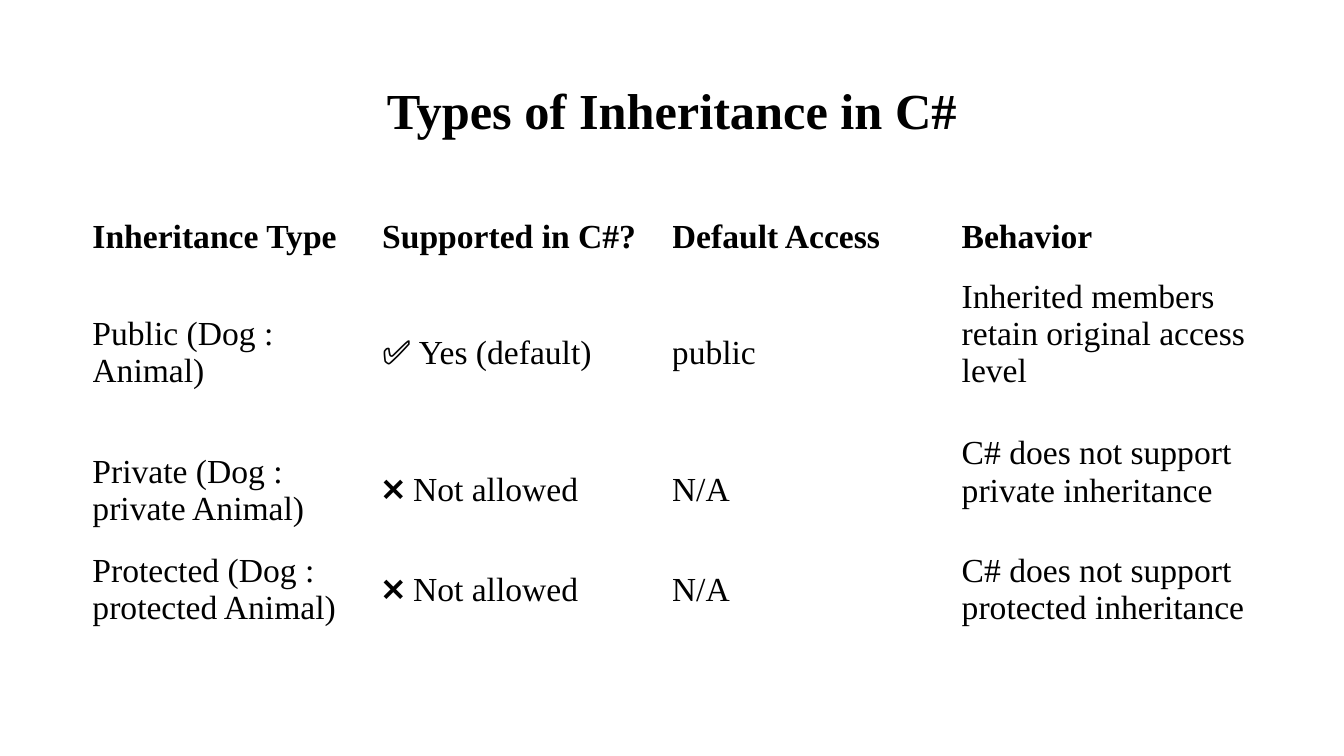
"""Build a slide that tabulates the types of inheritance in C#."""
from dataclasses import dataclass

from pptx import Presentation
from pptx.dml.color import RGBColor
from pptx.enum.text import MSO_ANCHOR, PP_ALIGN
from pptx.util import Cm, Pt


@dataclass(frozen=True)
class Theme:
    font: str = "Times New Roman"
    ink: RGBColor = RGBColor(0x00, 0x00, 0x00)
    paper: RGBColor = RGBColor(0xFF, 0xFF, 0xFF)
    title_size: int = 36
    table_size: int = 24


THEME = Theme()
LEFT = Cm(2.33)
WIDTH = Cm(29.21)
ROW_HEIGHT = Cm(1.83)
LINE_HEIGHT = Cm(0.93)

HEADERS = ["Inheritance Type", "Supported in C#?", "Default Access", "Behavior"]
INHERITANCE_ROWS = [
    ["Public (Dog : Animal)", "✅ Yes (default)", "public",
     "Inherited members retain original access level"],
    ["Private (Dog : private Animal)", "❌ Not allowed", "N/A",
     "C# does not support private inheritance"],
    ["Protected (Dog : protected Animal)", "❌ Not allowed", "N/A",
     "C# does not support protected inheritance"],
]
ROWS_WITH_SPACE_BELOW = (1, 2)


def write_text(frame, text, size=THEME.table_size, bold=False,
               align=PP_ALIGN.LEFT, line_spacing=1.0):
    """Write one formatted paragraph into a text frame."""
    frame.word_wrap = True
    para = frame.paragraphs[0]
    para.alignment = align
    para.line_spacing = line_spacing
    span = para.add_run()
    span.text = text
    span.font.name = THEME.font
    span.font.size = Pt(size)
    span.font.bold = bold
    span.font.color.rgb = THEME.ink


def add_title(page, text):
    """Add the centred slide title."""
    box = page.shapes.add_textbox(LEFT, Cm(1.01), WIDTH, Cm(3.68))
    box.text_frame.vertical_anchor = MSO_ANCHOR.MIDDLE
    write_text(box.text_frame, text, size=THEME.title_size, bold=True,
               align=PP_ALIGN.CENTER, line_spacing=0.9)


def fill_cell(cell, text, bold=False, space_below=0):
    """Write a plain, unfilled table cell without insets."""
    cell.fill.background()
    cell.vertical_anchor = MSO_ANCHOR.MIDDLE
    cell.margin_left = cell.margin_right = cell.margin_top = 0
    cell.margin_bottom = space_below
    write_text(cell.text_frame, text, bold=bold)


def add_plain_table(page, rows):
    """Add a table with a bold header row and equal columns."""
    columns = len(rows[0])
    table = page.shapes.add_table(len(rows), columns, LEFT, Cm(5.07), WIDTH,
                                  ROW_HEIGHT * len(rows)).table
    table.first_row = False
    table.horz_banding = False
    for row_index, row in enumerate(rows):
        for column_index, text in enumerate(row):
            spaced = (row_index in ROWS_WITH_SPACE_BELOW
                      and column_index == columns - 1)
            fill_cell(table.cell(row_index, column_index), text,
                      bold=row_index == 0,
                      space_below=LINE_HEIGHT if spaced else 0)


def main():
    """Create the deck and save it."""
    deck = Presentation()
    deck.slide_width, deck.slide_height = Cm(33.87), Cm(19.05)
    page = deck.slides.add_slide(deck.slide_layouts[6])
    page.background.fill.solid()
    page.background.fill.fore_color.rgb = THEME.paper
    add_title(page, "Types of Inheritance in C#")
    add_plain_table(page, [HEADERS, *INHERITANCE_ROWS])
    deck.save("out.pptx")


if __name__ == "__main__":
    main()
